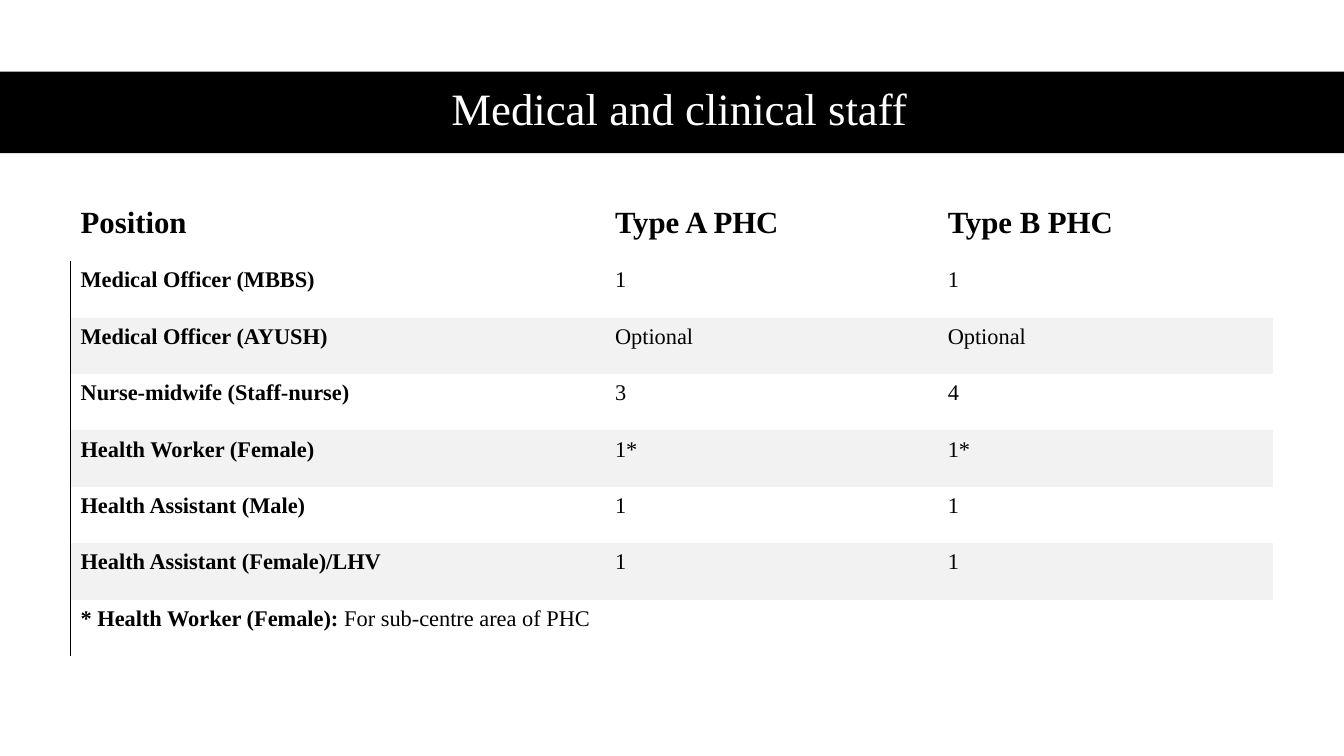
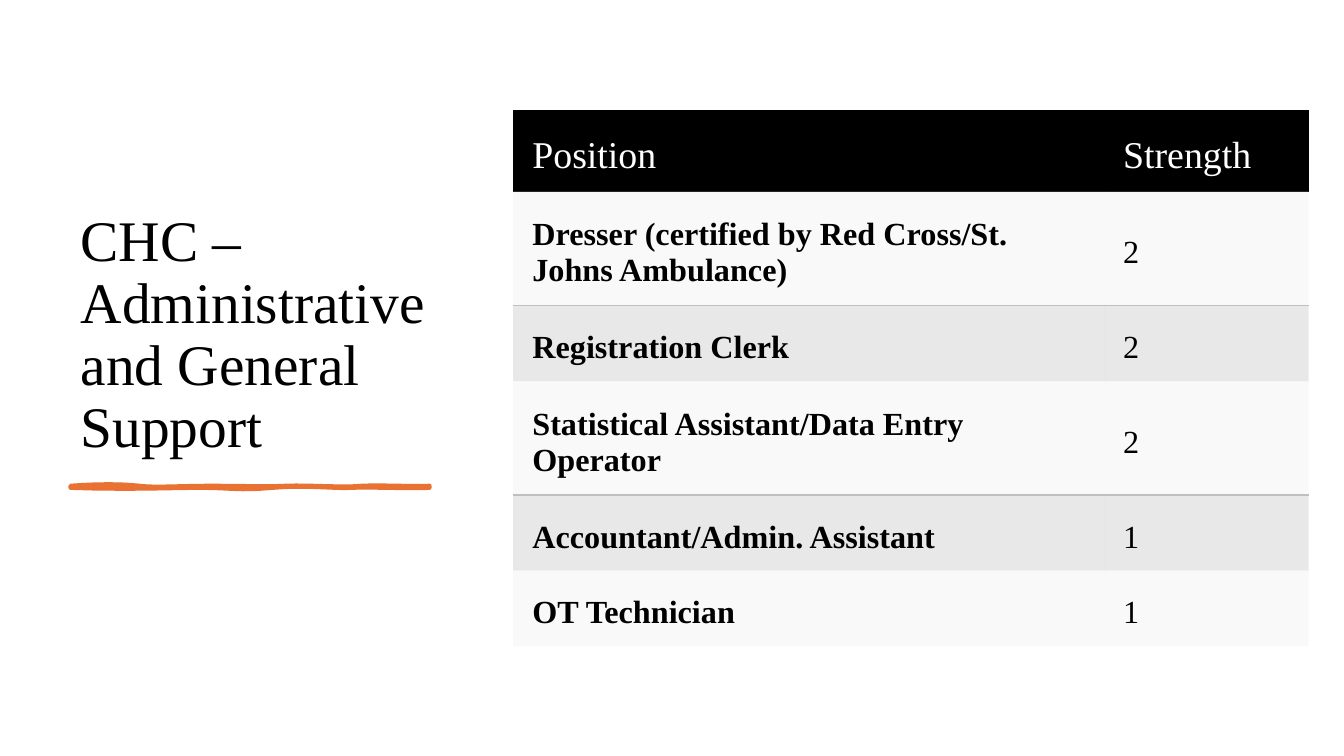
from lxml import etree
from pptx import Presentation
from pptx.dml.color import RGBColor
from pptx.enum.shapes import MSO_SHAPE
from pptx.enum.text import MSO_ANCHOR, MSO_AUTO_SIZE, PP_ALIGN
from pptx.oxml.ns import qn
from pptx.util import Inches, Pt

FONT = "Times New Roman"
BLACK, WHITE, ORANGE = "000000", "FFFFFF", "E97132"
PALE, GREY = "F2F2F2", "BFBFBF"
NO_STYLE = "{2D5ABB26-0587-4C30-8999-92F81FD0307C}"
rgb = RGBColor.from_string


def add_run(p, text, size, color=BLACK, bold=False):
    r = p.add_run()
    r.text = text
    r.font.name = FONT
    r.font.size = Pt(size)
    r.font.bold = bold
    r.font.color.rgb = rgb(color)


def style_cell(cell, fill, opacity, border):
    """Fill a cell (opacity in percent) and draw one border: (side, colour, points)."""
    if fill:
        cell.fill.solid()
        cell.fill.fore_color.rgb = rgb(fill)
    else:
        cell.fill.background()
    tcPr = cell._tc.get_or_add_tcPr()
    if opacity < 100:
        clr = tcPr.find(".//" + qn("a:srgbClr"))
        etree.SubElement(clr, qn("a:alpha"), val=str(opacity * 1000))
    if border:
        side, color, width = border
        ln = etree.Element(qn("a:ln" + side), w=str(Pt(width)))
        solid = etree.SubElement(ln, qn("a:solidFill"))
        etree.SubElement(solid, qn("a:srgbClr"), val=color)
        tcPr.insert(0, ln)


# Row looks: fill, opacity, border of the cells
PLAIN = (None, 100, None)
SHADED = (PALE, 100, None)
LIGHT = (PALE, 45, None)
RULED = (PALE, 45, ("B", GREY, 1))
DARK = (GREY, 35, None)

SLIDES = [
    dict(
        title="Medical and clinical staff", title_at=(0.61, 0.7, 12.26, 0.81),
        title_size=32, title_color=WHITE, align=PP_ALIGN.CENTER,
        title_anchor=MSO_ANCHOR.MIDDLE,
        at=(0.7, 1.94), cols=[5.3, 3.3, 3.33], heights=[0.65] + [0.56] * 7,
        margins=(0.1, 0.03, 0.14, 0.21),
        head_size=22, head_color=BLACK, head_bold=True,
        head_anchor=MSO_ANCHOR.BOTTOM, size=16, left_line=("L", BLACK, 0.75),
        looks=[PLAIN] + [PLAIN, SHADED] * 3 + [PLAIN],
        rows=[
            ("Position", "Type A PHC", "Type B PHC"),
            ("Medical Officer (MBBS)", "1", "1"),
            ("Medical Officer (AYUSH)", "Optional", "Optional"),
            ("Nurse-midwife (Staff-nurse)", "3", "4"),
            ("Health Worker (Female)", "1*", "1*"),
            ("Health Assistant (Male)", "1", "1"),
            ("Health Assistant (Female)/LHV", "1", "1"),
            ("* Health Worker (Female):",),
        ],
    ),
    dict(
        title="CHC – Administrative and General Support",
        title_at=(0.7, 0.7, 3.91, 3.91),
        title_size=41, title_color=BLACK, align=PP_ALIGN.LEFT,
        title_anchor=MSO_ANCHOR.BOTTOM,
        at=(5.09, 1.09), cols=[5.86, 2.03],
        heights=[0.81, 1.13, 0.75, 1.13, 0.75, 0.75],
        margins=(0.19, 0.19, 0.19, 0.1),
        head_size=27, head_color=WHITE, head_bold=False,
        head_anchor=MSO_ANCHOR.MIDDLE, size=23, left_line=None,
        looks=[(BLACK, 100, None), RULED, DARK, RULED, DARK, LIGHT],
        rows=[
            ("Position", "Strength"),
            ("Dresser (certified by Red Cross/St. Johns Ambulance)", "2"),
            ("Registration Clerk", "2"),
            ("Statistical Assistant/Data Entry Operator", "2"),
            ("Accountant/Admin. Assistant", "1"),
            ("OT Technician", "1"),
        ],
    ),
]

prs = Presentation()
prs.slide_width, prs.slide_height = Inches(13.33), Inches(7.5)
slides, tables = [], []

for d in SLIDES:
    s = prs.slides.add_slide(prs.slide_layouts[5])
    slides.append(s)
    title = s.shapes.title
    title.left, title.top, title.width, title.height = map(Inches, d["title_at"])
    tf = title.text_frame
    tf.word_wrap = True
    tf.auto_size = MSO_AUTO_SIZE.NONE
    tf.vertical_anchor = d["title_anchor"]
    p = tf.paragraphs[0]
    p.alignment = d["align"]
    p.line_spacing = 0.9
    add_run(p, d["title"], d["title_size"], d["title_color"])

    x, y = d["at"]
    table = s.shapes.add_table(
        len(d["rows"]), len(d["cols"]), Inches(x), Inches(y),
        Inches(sum(d["cols"])), Inches(sum(d["heights"]))).table
    tables.append(table)
    table._tbl.tblPr.find(qn("a:tableStyleId")).text = NO_STYLE
    table.first_row = table.horz_banding = False
    for col, width in zip(table.columns, d["cols"]):
        col.width = Inches(width)
    for i, (texts, look) in enumerate(zip(d["rows"], d["looks"])):
        table.rows[i].height = Inches(d["heights"][i])
        fill, opacity, border = look
        for j, text in enumerate(texts):
            cell = table.cell(i, j)
            (cell.margin_left, cell.margin_top, cell.margin_right,
             cell.margin_bottom) = map(Inches, d["margins"])
            left_line = d["left_line"] if i and j == 0 else None
            style_cell(cell, fill, opacity, border or left_line)
            p = cell.text_frame.paragraphs[0]
            if i == 0:
                cell.vertical_anchor = d["head_anchor"]
                add_run(p, text, d["head_size"], d["head_color"], d["head_bold"])
            else:
                cell.vertical_anchor = MSO_ANCHOR.MIDDLE
                add_run(p, text, d["size"], bold=j == 0)

# Slide 1: black band behind the title, footnote across the last row
staff, support = slides
band = staff.shapes.add_shape(
    MSO_SHAPE.RECTANGLE, 0, Inches(0.71), prs.slide_width, Inches(0.81))
band.shadow.inherit = False
band.fill.solid()
band.fill.fore_color.rgb = rgb(BLACK)
band.line.fill.background()
staff.shapes._spTree.insert(2, band._element)

footnote = tables[0].cell(7, 0)
footnote.merge(tables[0].cell(7, 2))
add_run(footnote.text_frame.paragraphs[0], " For sub-centre area of PHC", 16)

# Slide 2: hand-drawn underline, each curve as two control points and an end
START = (0.7, 4.82)
CURVES = [
    ((0.97, 4.8), (1.21, 4.8), (1.38, 4.82)),
    ((1.55, 4.84), (1.77, 4.82), (2.09, 4.82)),
    ((2.41, 4.82), (2.6, 4.83), (2.84, 4.82)),
    ((3.08, 4.81), (3.39, 4.84), (3.59, 4.82)),
    ((3.79, 4.81), (4.12, 4.83), (4.26, 4.82)),
    ((4.26, 4.83), (4.26, 4.84), (4.26, 4.84)),
    ((4.08, 4.85), (3.64, 4.83), (3.48, 4.84)),
    ((3.32, 4.85), (3.04, 4.81), (2.7, 4.84)),
    ((2.35, 4.87), (2.31, 4.84), (1.99, 4.84)),
    ((1.66, 4.84), (1.32, 4.86), (0.7, 4.84)),
]
STEPS = 8
points, a = [], START
for b, c, e in CURVES:
    for k in range(1, STEPS + 1):
        t = k / STEPS
        u = 1 - t
        points.append(tuple(
            Inches(u**3 * a[n] + 3 * u * u * t * b[n] + 3 * u * t * t * c[n] + t**3 * e[n])
            for n in (0, 1)))
    a = e
builder = support.shapes.build_freeform(Inches(START[0]), Inches(START[1]))
builder.add_line_segments(points, close=True)
underline = builder.convert_to_shape()
underline.shadow.inherit = False
underline.fill.solid()
underline.fill.fore_color.rgb = rgb(ORANGE)
underline.line.color.rgb = rgb(ORANGE)
underline.line.width = Pt(3)

prs.save("out.pptx")
